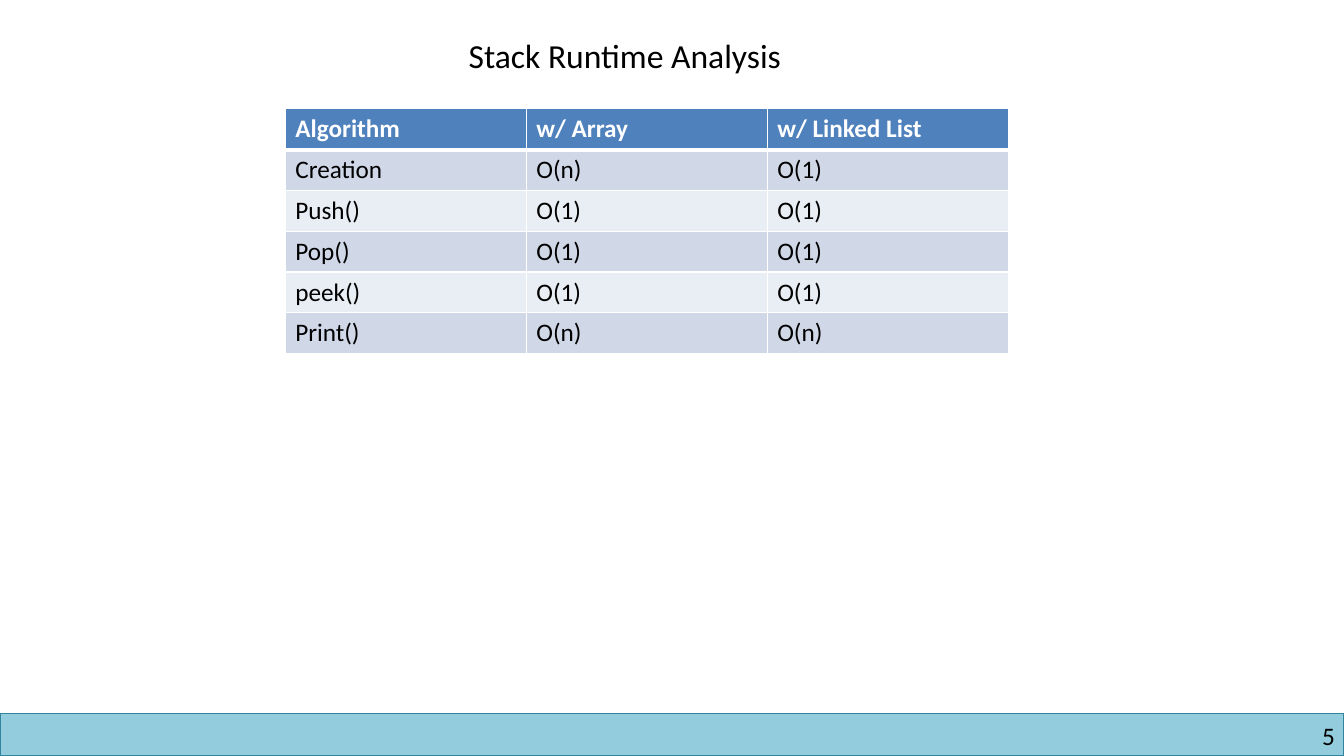
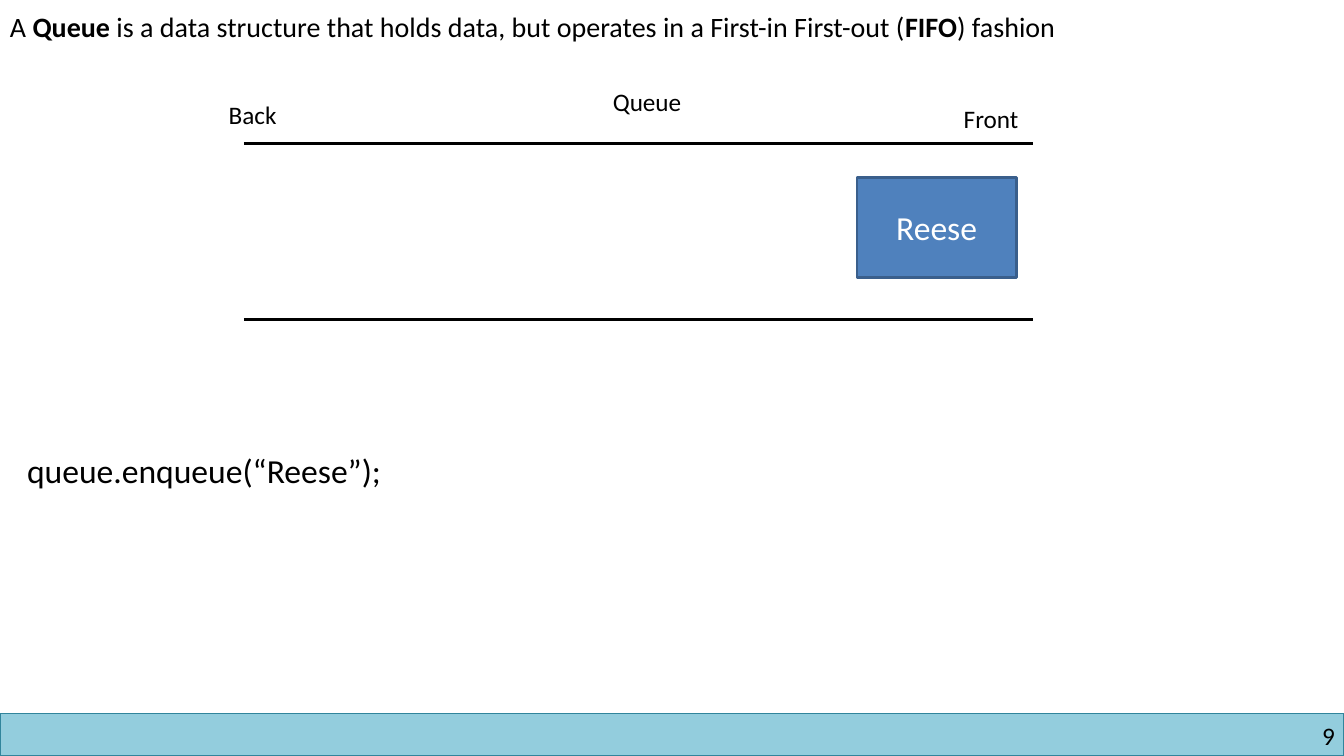
import dataclasses
import typing

import pptx
import pptx.dml.color
import pptx.enum.shapes
import pptx.enum.text
import pptx.oxml
import pptx.oxml.ns
import pptx.util
from pptx.util import Inches

COLOURS = {
    "text": "000000",
    "white": "FFFFFF",
    "band": "93CDDD",
    "band_line": "31859C",
    "accent": "4F81BD",
    "accent_line": "3A5F8C",
    "row_dark": "D0D8E8",
    "row_light": "E9EDF4",
}
FONT = "Calibri"
PAGE_WIDTH, PAGE_HEIGHT = 13.33, 7.5
BAND_TOP = 7.08
ALIGN = pptx.enum.text.PP_ALIGN


class Span(typing.NamedTuple):
    text: str
    bold: bool = False


@dataclasses.dataclass(frozen=True)
class Label:
    text: str
    left: float
    top: float
    width: float
    height: float = 0.4
    size: float = 18


RUNTIMES = [
    ("Algorithm", "w/ Array", "w/ Linked List"),
    ("Creation", "O(n)", "O(1)"),
    ("Push()", "O(1)", "O(1)"),
    ("Pop()", "O(1)", "O(1)"),
    ("peek()", "O(1)", "O(1)"),
    ("Print()", "O(n)", "O(n)"),
]
STACK_TITLE = Label("Stack Runtime Analysis", 4.55, 0.3, 3.74, 0.5, 24)
QUEUE_DEFINITION = [
    Span("A "),
    Span("Queue", bold=True),
    Span(" is a data structure that holds data, but operates in a First-in First-out ("),
    Span("FIFO", bold=True),
    Span(") fashion"),
]
QUEUE_LABELS = [
    Label("Queue", 5.98, 0.81, 0.96),
    Label("queue.enqueue(“Reese”);", 0.17, 4.41, 4.06, 0.5, 24),
    Label("Front", 9.46, 0.98, 0.79),
    Label("Back", 2.17, 0.94, 0.76),
]


def rgb(name: str) -> pptx.dml.color.RGBColor:
    return pptx.dml.color.RGBColor.from_string(COLOURS[name])


def write_text(frame, text: str | list[Span], *, size: float = 18, colour: str = "text",
               bold: bool = False, align=ALIGN.LEFT) -> None:
    """Fill a text frame with one paragraph of formatted spans."""
    para = frame.paragraphs[0]
    para.alignment = align
    for part in [Span(text, bold)] if isinstance(text, str) else text:
        span = para.add_run()
        span.text = part.text
        span.font.name = FONT
        span.font.size = pptx.util.Pt(size)
        span.font.bold = part.bold
        span.font.color.rgb = rgb(colour)


def add_text_box(page, left: float, top: float, width: float, height: float,
                 text: str | list[Span], *, wrap: bool = True, margin: float | None = None,
                 **text_format) -> None:
    box = page.shapes.add_textbox(Inches(left), Inches(top), Inches(width), Inches(height))
    frame = box.text_frame
    frame.word_wrap = wrap
    frame.auto_size = pptx.enum.text.MSO_AUTO_SIZE.SHAPE_TO_FIT_TEXT
    if margin is not None:
        frame.margin_left = frame.margin_right = Inches(margin)
        frame.margin_top = frame.margin_bottom = Inches(margin)
    write_text(frame, text, **text_format)


def add_label(page, label: Label) -> None:
    add_text_box(page, label.left, label.top, label.width, label.height, label.text,
                 wrap=False, size=label.size)


def add_rectangle(page, left: float, top: float, width: float, height: float, *,
                  fill: str, line: str, line_width: float):
    box = page.shapes.add_shape(pptx.enum.shapes.MSO_SHAPE.RECTANGLE, Inches(left),
                                Inches(top), Inches(width), Inches(height))
    box.shadow.inherit = False
    box.fill.solid()
    box.fill.fore_color.rgb = rgb(fill)
    box.line.color.rgb = rgb(line)
    box.line.width = pptx.util.Pt(line_width)
    return box


def add_rule(page, left: float, right: float, top: float) -> None:
    rule = page.shapes.add_connector(pptx.enum.shapes.MSO_CONNECTOR.STRAIGHT, Inches(left),
                                     Inches(top), Inches(right), Inches(top))
    rule.line.color.rgb = rgb("text")
    rule.line.width = pptx.util.Pt(2.25)
    properties = rule._element.spPr
    properties.append(pptx.oxml.parse_xml(f"<a:effectLst {pptx.oxml.ns.nsdecls('a')}/>"))


def add_page(deck, number: int):
    """Add a blank page with the bottom band and its page number."""
    page = deck.slides.add_slide(deck.slide_layouts[6])
    add_rectangle(page, 0, BAND_TOP, PAGE_WIDTH, PAGE_HEIGHT - BAND_TOP,
                  fill="band", line="band_line", line_width=1)
    add_text_box(page, 10.17, 7.15, 3.07, 0.3, str(number), margin=0, align=ALIGN.RIGHT)
    return page


def set_borders(cell, *, top: float = 1, bottom: float = 1) -> None:
    properties = cell._tc.get_or_add_tcPr()
    for side, width in {"L": 1, "R": 1, "T": top, "B": bottom}.items():
        properties.append(pptx.oxml.parse_xml(
            f"<a:ln{side} {pptx.oxml.ns.nsdecls('a')} w='{pptx.util.Pt(width)}'>"
            f"<a:solidFill><a:srgbClr val='{COLOURS['white']}'/></a:solidFill></a:ln{side}>"))


def add_runtime_table(page) -> None:
    rows, columns = len(RUNTIMES), len(RUNTIMES[0])
    table = page.shapes.add_table(rows, columns, Inches(2.83), Inches(1.08),
                                  Inches(7.17), Inches(2.43)).table
    table.horz_banding = False
    for row, values in enumerate(RUNTIMES):
        header = row == 0
        fill = "accent" if header else "row_dark" if row % 2 else "row_light"
        for column, value in enumerate(values):
            cell = table.cell(row, column)
            set_borders(cell, top=3 if row == 1 else 1, bottom=3 if header else 1)
            cell.fill.solid()
            cell.fill.fore_color.rgb = rgb(fill)
            write_text(cell.text_frame, value, bold=header,
                       colour="white" if header else "text")


def build_stack_page(deck) -> None:
    page = add_page(deck, 5)
    add_runtime_table(page)
    add_label(page, STACK_TITLE)


def build_queue_page(deck) -> None:
    page = add_page(deck, 9)
    add_text_box(page, 0, 0.05, 12.92, 0.44, QUEUE_DEFINITION, size=20)
    # Queue walls
    for top in (1.42, 3.17):
        add_rule(page, 2.42, 10.25, top)
    # Queued item
    item = add_rectangle(page, 8.5, 1.76, 1.58, 0.99,
                         fill="accent", line="accent_line", line_width=2)
    item.text_frame.vertical_anchor = pptx.enum.text.MSO_ANCHOR.MIDDLE
    write_text(item.text_frame, "Reese", size=24, colour="white", align=ALIGN.CENTER)
    # Labels and call
    for label in QUEUE_LABELS:
        add_label(page, label)


def main() -> None:
    deck = pptx.Presentation()
    deck.slide_width, deck.slide_height = Inches(PAGE_WIDTH), Inches(PAGE_HEIGHT)
    build_stack_page(deck)
    build_queue_page(deck)
    deck.save("out.pptx")


if __name__ == "__main__":
    main()
